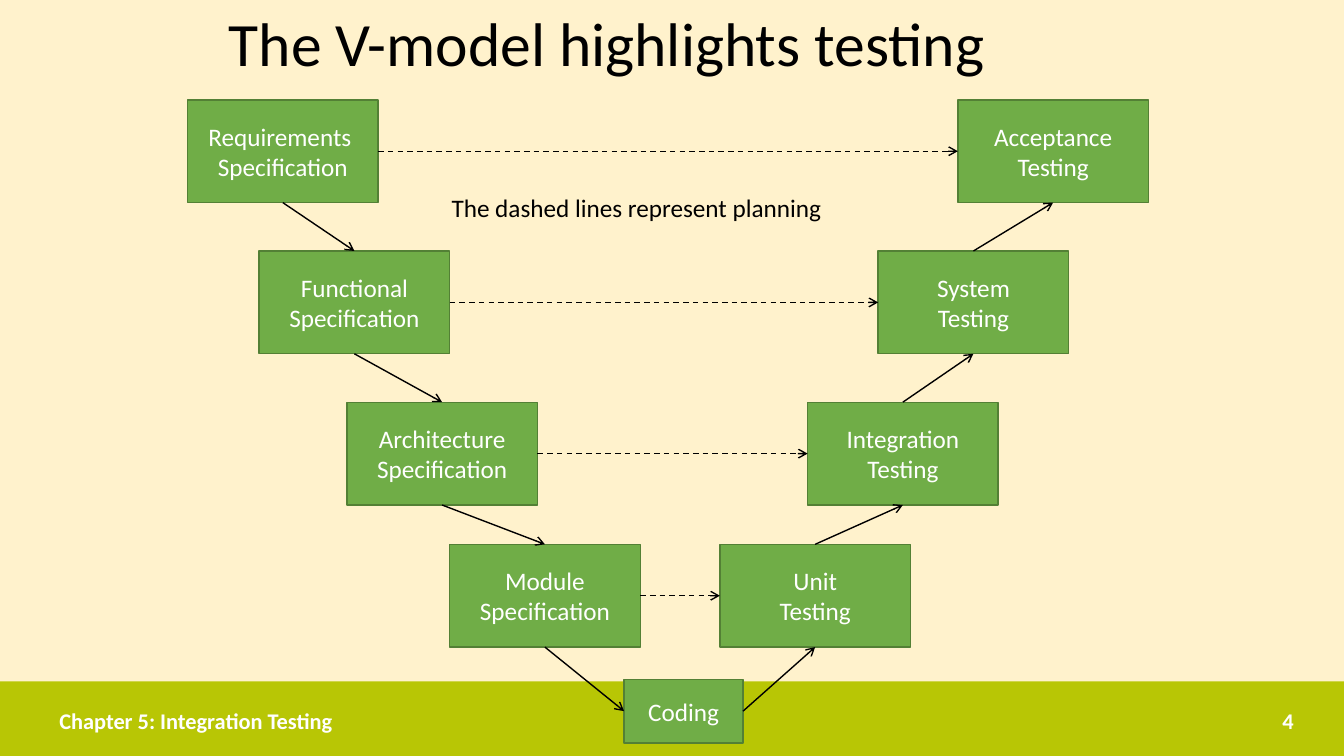
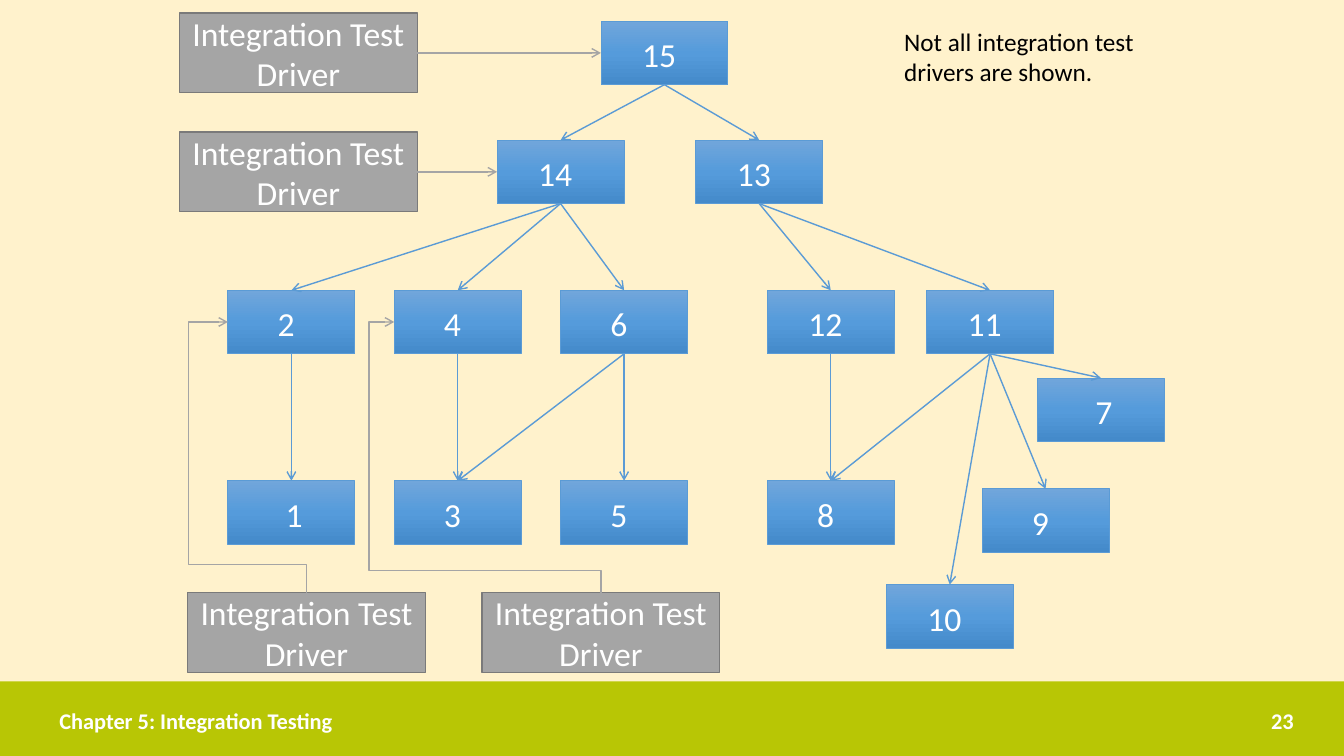
"""Build two integration testing slides: the V-model and a test driver tree."""
import copy

import pptx
import pptx.dml.color
import pptx.enum.dml
import pptx.enum.shapes
import pptx.enum.text
import pptx.oxml
import pptx.oxml.ns
import pptx.util
from lxml import etree

Inches = pptx.util.Inches
Pt = pptx.util.Pt
qn = pptx.oxml.ns.qn
ALIGN = pptx.enum.text.PP_ALIGN
ANCHOR = pptx.enum.text.MSO_ANCHOR
FIT = pptx.enum.text.MSO_AUTO_SIZE
KIND = pptx.enum.shapes.MSO_CONNECTOR
RECTANGLE = pptx.enum.shapes.MSO_SHAPE.RECTANGLE

COLORS = {
    name: pptx.dml.color.RGBColor.from_string(code)
    for name, code in {
        "cream": "FFF2CC", "lime": "B8C605", "black": "000000", "white": "FFFFFF",
        "green": "70AD47", "dark green": "538035", "gray": "A5A5A5", "dark gray": "7A7A7A",
        "blue": "5B9BD5", "top blue": "71A6DB", "middle blue": "559BDB", "low blue": "448ACA",
    }.items()
}
TOP, LEFT, BOTTOM, RIGHT = range(4)

MIDDLE = {"vertical_anchor": ANCHOR.MIDDLE, "word_wrap": True}
LABEL = {"word_wrap": False, "auto_size": FIT.SHAPE_TO_FIT_TEXT}
LOOKS = {
    "band": {"fill": ["lime"]},
    "title": {"size": 44, "color": "black", "align": ALIGN.LEFT, "spacing": 0.9,
              "frame": {**MIDDLE, "auto_size": FIT.NONE}},
    "footer": {"size": 16, "color": "white", "bold": True, "frame": MIDDLE},
    "number": {"size": 16, "color": "white", "bold": True, "frame": MIDDLE, "align": ALIGN.RIGHT},
    "stage": {"fill": ["green"], "line": ("dark green", 1), "size": 18, "color": "white",
              "align": ALIGN.CENTER, "frame": MIDDLE},
    "driver": {"fill": ["gray"], "line": ("dark gray", 1), "size": 24, "color": "white",
               "align": ALIGN.CENTER, "frame": MIDDLE},
    "node": {"fill": ["top blue", "middle blue", "low blue"], "line": ("blue", 0.5)},
    "label": {"size": 24, "color": "white", "frame": LABEL},
    "note": {"size": 18, "color": "black", "frame": LABEL},
    "wrapped note": {"size": 18, "color": "black", "frame": {**LABEL, "word_wrap": True}},
}


def draw(slide, place, look_name, text=""):
    """Add a box, a text box or the slide title in one of the named looks."""
    look = LOOKS[look_name]
    place = [Inches(length) for length in place]
    if look_name == "title":
        box = slide.shapes.title
        box.left, box.top, box.width, box.height = place
    elif "fill" in look:
        box = slide.shapes.add_shape(RECTANGLE, *place)
        box.shadow.inherit = False
        if len(look["fill"]) == 1:
            box.fill.solid()
            box.fill.fore_color.rgb = COLORS[look["fill"][0]]
        else:
            box.fill.gradient()
            box.fill.gradient_angle = 270
            stops = box._element.spPr.find(".//" + qn("a:gsLst"))
            stops.insert(1, copy.deepcopy(stops[0]))
            for stop, position, name in zip(box.fill.gradient_stops, (0, 0.5, 1), look["fill"]):
                stop.position = position
                stop.color.rgb = COLORS[name]
        if "line" in look:
            box.line.color.rgb = COLORS[look["line"][0]]
            box.line.width = Pt(look["line"][1])
        else:
            box.line.fill.background()
    else:
        box = slide.shapes.add_textbox(*place)
    if text:
        frame = box.text_frame
        frame.text = text
        for name, value in look["frame"].items():
            setattr(frame, name, value)
        font = {"name": "Calibri", "size": Pt(look["size"]), "bold": look.get("bold", False)}
        for para in frame.paragraphs:
            para.alignment = look.get("align", ALIGN.LEFT)
            para.line_spacing = look.get("spacing")
            for span in para.runs:
                span.font.color.rgb = COLORS[look["color"]]
                for name, value in font.items():
                    setattr(span.font, name, value)
    return box


def connect(slide, start, end, color, sites=(BOTTOM, TOP), dashed=False, corner=None):
    """Join two boxes by an arrow, straight or bent round a corner point."""
    if corner:
        start_x, start_y = start.left + start.width // 2, start.top
        end_x, end_y = end.left, end.top + end.height // 2
        across, rise = start_x - end_x, start_y - end_y
        center_x, center_y = (start_x + end_x) // 2, (start_y + end_y) // 2
        wire = slide.shapes.add_connector(
            KIND.ELBOW, center_x - rise // 2, center_y + across // 2,
            center_x + rise // 2, center_y - across // 2)
        wire._element.spPr.find(qn("a:xfrm")).set("rot", "16200000")
        shape = wire._element.spPr.find(qn("a:prstGeom"))
        shape.set("prst", "bentConnector4")
        guides = shape.find(qn("a:avLst"))
        if guides is None:
            guides = etree.SubElement(shape, qn("a:avLst"))
        ratios = ((start_y - Inches(corner[1])) / rise, (start_x - Inches(corner[0])) / across)
        for index, ratio in enumerate(ratios, 1):
            etree.SubElement(guides, qn("a:gd"), name=f"adj{index}",
                             fmla=f"val {round(ratio * 100000)}")
    else:
        wire = slide.shapes.add_connector(KIND.STRAIGHT, 0, 0, 0, 0)
        wire.begin_connect(start, sites[0])
        wire.end_connect(end, sites[1])
    wire.line.color.rgb = COLORS[color]
    wire.line.width = Pt(1)
    if dashed:
        wire.line.dash_style = pptx.enum.dml.MSO_LINE.DASH
    etree.SubElement(wire.line._get_or_add_ln(), qn("a:tailEnd"), type="arrow")
    etree.SubElement(wire._element.spPr, qn("a:effectLst"))


deck = pptx.Presentation()
deck.slide_width, deck.slide_height = Inches(13.33), Inches(7.5)
master = deck.slide_master
master.background.fill.solid()
master.background.fill.fore_color.rgb = COLORS["cream"]

model = deck.slides.add_slide(deck.slide_layouts.get_by_name("Title Only"))
tree = deck.slides.add_slide(deck.slide_layouts.get_by_name("Blank"))
band = draw(model, (0, 6.76, 13.33, 0.74), "band")
master.shapes._spTree.append(band._element)
for slide, number in ((model, "4"), (tree, "23")):
    draw(slide, (0.49, 6.95, 6.19, 0.4), "footer", "Chapter 5: Integration Testing")
    draw(slide, (9.42, 6.95, 3.51, 0.4), "number", number)

draw(model, (2.17, 0, 9, 0.92), "title", "The V-model highlights testing")
levels = [
    (0.99, 1.86, "Requirements \nSpecification", 9.5, "Acceptance Testing"),
    (2.49, 2.57, "Functional\nSpecification", 8.71, "System\nTesting"),
    (3.99, 3.44, "Architecture\nSpecification", 8.01, "Integration\nTesting"),
    (5.4, 4.46, "Module\nSpecification", 7.14, "Unit\nTesting"),
]
specifications, tests = [], []
for top, left, specification, right, test in levels:
    specifications.append(draw(model, (left, top, 1.89, 1.02), "stage", specification))
    tests.append(draw(model, (right, top, 1.89, 1.02), "stage", test))
coding = draw(model, (6.19, 6.74, 1.18, 0.63), "stage", "Coding")
for upper, lower in zip(specifications, specifications[1:]):
    connect(model, upper, lower, "black")
connect(model, specifications[-1], coding, "black", (BOTTOM, LEFT))
connect(model, coding, tests[-1], "black", (RIGHT, BOTTOM))
for upper, lower in zip(tests, tests[1:]):
    connect(model, lower, upper, "black", (TOP, BOTTOM))
for specification, test in zip(specifications, tests):
    connect(model, specification, test, "black", (RIGHT, LEFT), dashed=True)
draw(model, (4.38, 1.86, 3.92, 0.4), "note", "The dashed lines represent planning")

places = {
    15: (5.96, 0.21), 14: (4.93, 1.39), 13: (6.9, 1.39),
    2: (2.26, 2.88), 4: (3.91, 2.88), 6: (5.56, 2.88), 12: (7.61, 2.88), 11: (9.19, 2.88),
    7: (10.29, 3.75), 9: (9.74, 4.85), 10: (8.79, 5.8),
    8: (7.61, 4.77), 5: (5.56, 4.77), 3: (3.91, 4.77), 1: (2.26, 4.77),
}
calls = {15: (13, 14), 14: (4, 2, 6), 13: (12, 11), 11: (7, 9, 10, 8),
         12: (8,), 6: (5, 3), 4: (3,), 2: (1,)}
nodes = {key: draw(tree, (*place, 1.26, 0.63), "node") for key, place in places.items()}
for caller, callees in calls.items():
    for callee in callees:
        connect(tree, nodes[caller], nodes[callee], "blue")
for key, (left, top) in places.items():
    width = 0.54 if key > 9 else 0.37
    nudge = 0.03 if key in (1, 7) else -0.05
    draw(tree, (left + (1.26 - width) / 2 + nudge, top + 0.08, width, 0.5), "label", str(key))

drivers = [
    (1.86, 5.88, 2, (1.87, 5.6)),
    (4.78, 5.88, 4, (3.66, 5.66)),
    (1.78, 1.31, 14, None),
    (1.78, 0.13, 15, None),
]
for left, top, target, corner in drivers:
    driver = draw(tree, (left, top, 2.36, 0.79), "driver", "Integration Test Driver")
    connect(tree, driver, nodes[target], "gray", (RIGHT, LEFT), corner=corner)
draw(tree, (8.87, 0.21, 2.6, 1.01), "wrapped note", "Not all integration test drivers are shown. ")

deck.save("out.pptx")
